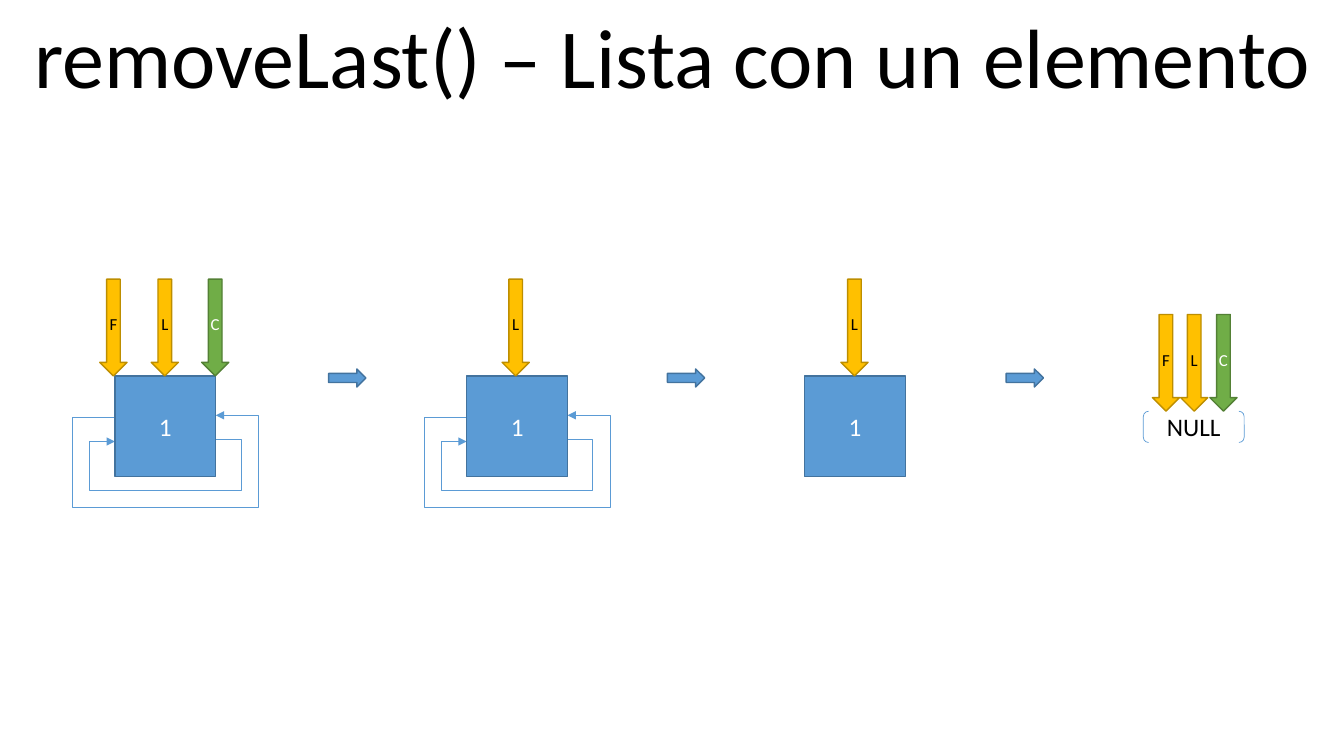
import pptx
import pptx.dml.color
import pptx.enum.shapes
import pptx.enum.text
import pptx.oxml
import pptx.oxml.ns
import pptx.util
from dataclasses import dataclass

Inches = pptx.util.Inches
SHAPE = pptx.enum.shapes.MSO_SHAPE
qn = pptx.oxml.ns.qn


@dataclass(frozen=True)
class Theme:
    font: str = "Calibri"
    black: str = "000000"
    white: str = "FFFFFF"
    blue: str = "5B9BD5"
    navy: str = "43739E"
    gold: str = "FFC000"
    ochre: str = "BD8E00"
    green: str = "70AD47"
    moss: str = "538035"
    title: int = 60
    body: int = 18
    small: int = 12
    edge: float = 1
    thin: float = 0.5


def color(code):
    return pptx.dml.color.RGBColor.from_string(code)


class Board:
    """Holds the theme and the slide being drawn."""

    def __init__(self, slide, theme):
        self.slide = slide
        self.theme = theme

    def words(self, frame, text, size, ink):
        para = frame.paragraphs[0]
        para.alignment = pptx.enum.text.PP_ALIGN.CENTER
        run = para.add_run()
        run.text = text
        run.font.name = self.theme.font
        run.font.size = pptx.util.Pt(size)
        run.font.color.rgb = color(ink)

    def title(self, text):
        box = self.slide.shapes.add_textbox(
            Inches(0.01), Inches(0), Inches(13.32), Inches(1.11))
        box.text_frame.word_wrap = True
        box.text_frame.auto_size = pptx.enum.text.MSO_AUTO_SIZE.SHAPE_TO_FIT_TEXT
        self.words(box.text_frame, text, self.theme.title, self.theme.black)

    def shape(self, kind, left, top, width, height, fill, line, weight):
        item = self.slide.shapes.add_shape(
            kind, Inches(left), Inches(top), Inches(width), Inches(height))
        item.shadow.inherit = False
        if fill:
            item.fill.solid()
            item.fill.fore_color.rgb = color(fill)
        else:
            item.fill.background()
        item.line.color.rgb = color(line)
        item.line.width = pptx.util.Pt(weight)
        return item

    def label(self, item, text, size, ink):
        frame = item.text_frame
        frame.word_wrap = False
        frame.margin_left = frame.margin_right = 0
        frame.margin_top = frame.margin_bottom = 0
        frame.vertical_anchor = pptx.enum.text.MSO_ANCHOR.MIDDLE
        self.words(frame, text, size, ink)

    def pointer(self, name, left, top):
        look = self.theme
        fill, line, ink = (look.gold, look.ochre, look.black)
        if name == "C":
            fill, line, ink = (look.green, look.moss, look.white)
        item = self.shape(SHAPE.DOWN_ARROW, left, top, 0.27, 0.96,
                          fill, line, look.edge)
        self.label(item, name, look.small, ink)

    def node(self, left, top):
        look = self.theme
        item = self.shape(SHAPE.RECTANGLE, left, top, 1, 1,
                          look.blue, look.navy, look.edge)
        self.label(item, "1", look.body, look.white)

    def step(self, left):
        look = self.theme
        self.shape(SHAPE.RIGHT_ARROW, left, 3.66, 0.37, 0.18,
                   look.blue, look.navy, look.edge)

    def null(self, left, top):
        look = self.theme
        item = self.shape(SHAPE.DOUBLE_BRACKET, left, top, 1, 0.31,
                          None, look.blue, look.thin)
        self.label(item, "NULL", look.body, look.black)

    def loop(self, start, end, reach, low):
        """Link that leaves one side, passes below and returns to the other."""
        (x1, y1), (x2, y2) = start, end
        link = self.slide.shapes.add_connector(
            pptx.enum.shapes.MSO_CONNECTOR.ELBOW,
            Inches(x1), Inches(y1), Inches(x2), Inches(y2))
        link.line.color.rgb = color(self.theme.blue)
        link.line.width = pptx.util.Pt(self.theme.thin)
        props = link._element.spPr

        # Five-part bend, measured as shares of the link's extent
        geom = props.find(qn("a:prstGeom"))
        geom.set("prst", "bentConnector5")
        bends = geom.find(qn("a:avLst"))
        shares = (-reach, (low - y1) / (y2 - y1), 1 + reach)
        for num, share in enumerate(shares, 1):
            guide = bends.makeelement(qn("a:gd"), {
                "name": f"adj{num}", "fmla": f"val {round(share * 100000)}"})
            bends.append(guide)

        # An upward link is a half turn with a side flip
        if y2 < y1:
            frame = props.find(qn("a:xfrm"))
            frame.attrib.pop("flipV")
            frame.set("flipH", "1")
            frame.set("rot", "10800000")

        line = props.find(qn("a:ln"))
        line.append(line.makeelement(qn("a:tailEnd"), {"type": "triangle"}))
        props.append(props.makeelement(qn("a:effectLst"), {}))

    def loops(self, left):
        right = left + 1
        self.loop((right, 4.36), (left, 4.38), 0.25, 4.86)
        self.loop((left, 4.14), (right, 4.12), 0.42, 5.03)


def main():
    deck = pptx.Presentation()
    deck.slide_width = Inches(13.33)
    deck.slide_height = Inches(7.5)
    board = Board(deck.slides.add_slide(deck.slide_layouts[6]), Theme())

    board.title("removeLast() – Lista con un elemento")

    # Empty list at the end
    for name, left in (("F", 11.43), ("L", 11.71), ("C", 12)):
        board.pointer(name, left, 3.12)
    board.null(11.34, 4.08)

    # Three stages of the node: left edge, linked to itself, pointers
    stages = (
        (1.14, True, (("F", 0.99), ("L", 1.5), ("C", 2))),
        (4.63, True, (("L", 4.98),)),
        (7.98, False, (("L", 8.34),)),
    )
    for left, linked, names in stages:
        if linked:
            board.loops(left)
        board.node(left, 3.73)
        for name, spot in names:
            board.pointer(name, spot, 2.77)

    # Arrows between stages
    for num in range(3):
        board.step(3.26 + 3.36 * num)

    deck.save("out.pptx")


if __name__ == "__main__":
    main()
